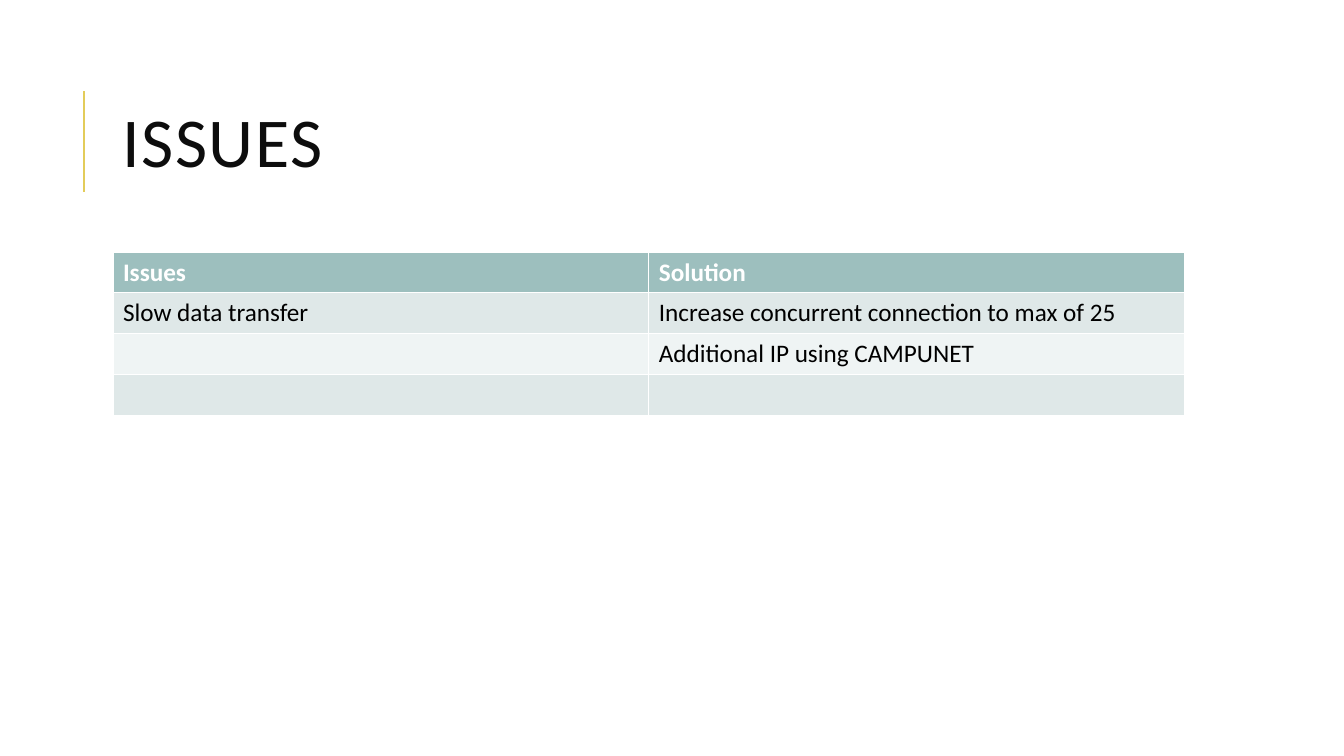
from pptx import Presentation
from pptx.dml.color import RGBColor
from pptx.enum.shapes import MSO_CONNECTOR
from pptx.enum.text import MSO_ANCHOR
from pptx.oxml.ns import qn
from pptx.util import Inches, Pt
from lxml import etree

STRAIGHT = MSO_CONNECTOR.STRAIGHT
MIDDLE = MSO_ANCHOR.MIDDLE

GOLD = RGBColor(0xE3, 0xCC, 0x5A)
INK = RGBColor(0x0D, 0x0D, 0x0D)
BLACK = RGBColor(0, 0, 0)
WHITE = RGBColor(0xFF, 0xFF, 0xFF)
TEAL = RGBColor(0x9D, 0xBF, 0xBE)
BANDS = (RGBColor(0xDF, 0xE8, 0xE8), RGBColor(0xEF, 0xF4, 0xF4))

LEFT, WIDTH = 1.12, 10.63
ROW_HEIGHT = 0.405
ISSUE_ROWS = [
    ("Issues", "Solution"),
    ("Slow data transfer", "Increase concurrent connection to max of 25"),
    ("", "Additional IP using CAMPUNET"),
    ("", ""),
]


class SlideBuilder:
    """Holds the type style and the slide being built."""

    def __init__(self, slide, font_name="Calibri"):
        self.slide = slide
        self.font_name = font_name

    def style(self, paragraph, size, color, bold=False):
        """Format every run of a paragraph."""
        for run in paragraph.runs:
            run.font.name = self.font_name
            run.font.size = Pt(size)
            run.font.color.rgb = color
            run.font.bold = bold

    def rule(self, x, top, bottom):
        """Draw the vertical accent line beside the title."""
        accent = self.slide.shapes.add_connector(
            STRAIGHT, Inches(x), Inches(bottom), Inches(x), Inches(top))
        accent.line.color.rgb = GOLD
        accent.line.width = Pt(1.5)
        etree.SubElement(accent.line._get_or_add_ln().getparent(), qn("a:effectLst"))

    def title(self, text, top, height):
        """Add the letter-spaced slide heading."""
        heading = self.slide.shapes.add_textbox(
            Inches(LEFT), Inches(top), Inches(WIDTH), Inches(height)).text_frame
        heading.word_wrap = True
        heading.vertical_anchor = MIDDLE
        heading.text = text
        paragraph = heading.paragraphs[0]
        paragraph.line_spacing = 0.8
        self.style(paragraph, 50, INK)
        paragraph.runs[0].font._element.set("spc", "100")

    def table(self, rows, top):
        """Add a table with a header row and banded body rows."""
        columns = len(rows[0])
        grid = self.slide.shapes.add_table(
            len(rows), columns, Inches(LEFT), Inches(top),
            Inches(WIDTH), Inches(ROW_HEIGHT * len(rows))).table
        for r, texts in enumerate(rows):
            header = r == 0
            for c, text in enumerate(texts):
                cell = grid.cell(r, c)
                cell.fill.solid()
                cell.fill.fore_color.rgb = TEAL if header else BANDS[(r - 1) % 2]
                if text:
                    cell.text_frame.text = text
                    self.style(cell.text_frame.paragraphs[0], 18,
                               WHITE if header else BLACK, header)


def main():
    """Build and save the issues slide."""
    deck = Presentation()
    deck.slide_width, deck.slide_height = Inches(13.33), Inches(7.5)
    builder = SlideBuilder(deck.slides.add_slide(deck.slide_layouts[6]))
    builder.rule(0.83, 0.9, 1.9)
    builder.title("ISSUES", 0.64, 1.64)
    builder.table(ISSUE_ROWS, 2.5)
    deck.save("out.pptx")


if __name__ == "__main__":
    main()
